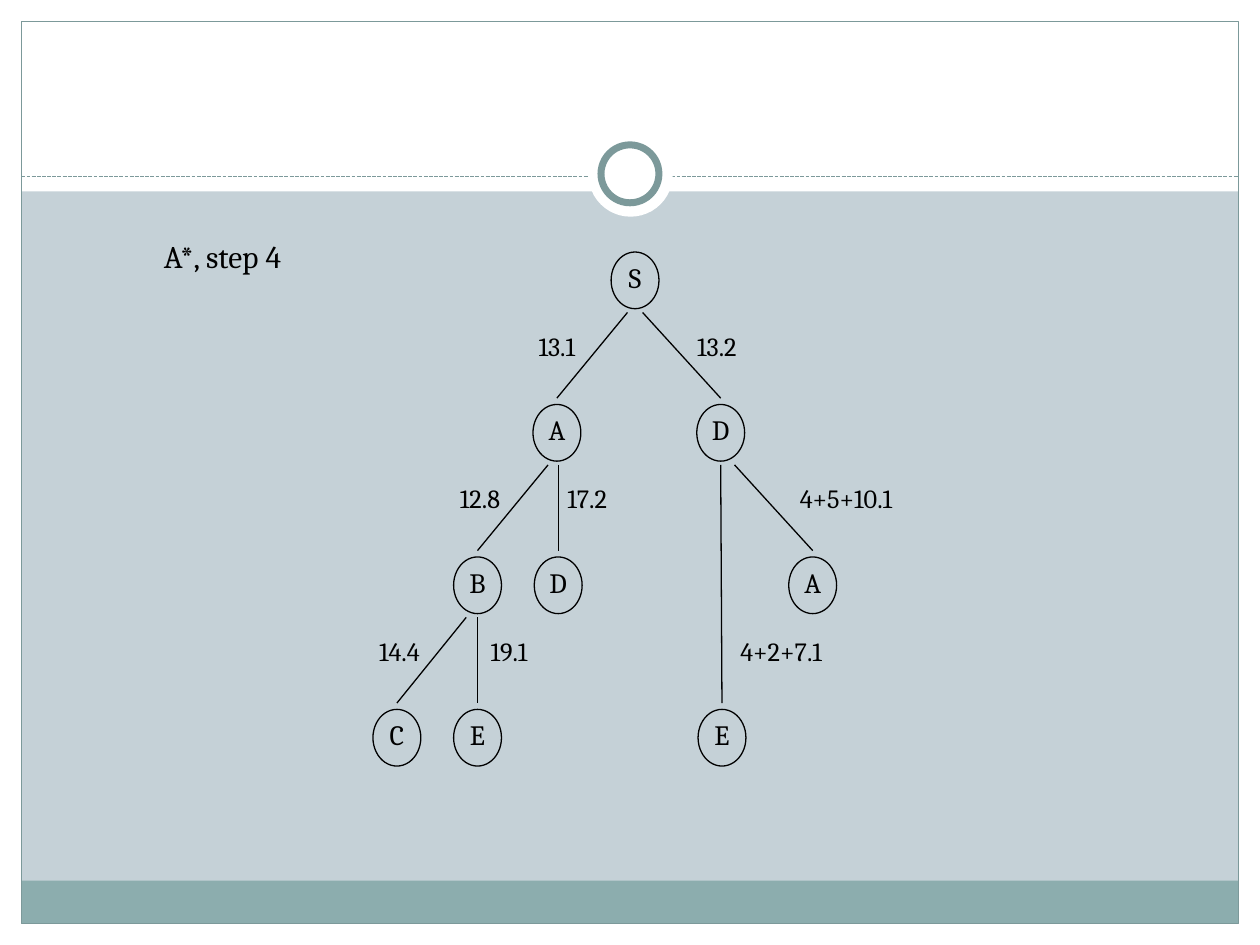
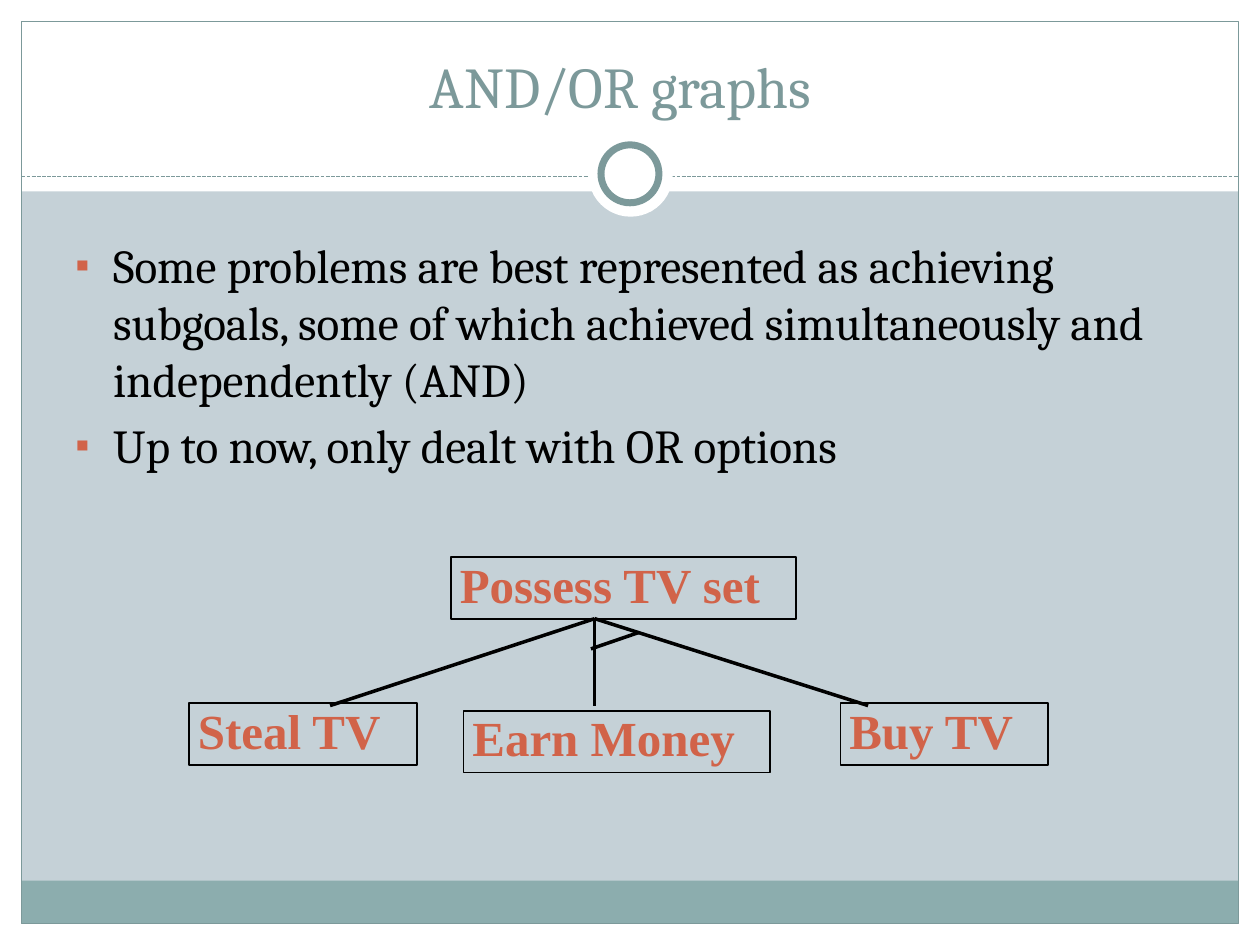
from typing import NamedTuple

from lxml import etree
from pptx import Presentation
from pptx import util as u
from pptx.dml.color import RGBColor
from pptx.enum import dml, shapes, text
from pptx.oxml.ns import qn

BLACK, WHITE = "000000", "FFFFFF"
TEAL, BAND, PALE, ORANGE = "7C999A", "8CADAE", "C5D1D7", "D16349"
SERIF, TIMES = "Cambria", "Times New Roman"
RECT, OVAL = shapes.MSO_SHAPE.RECTANGLE, shapes.MSO_SHAPE.OVAL
LEFT, CENTER = text.PP_ALIGN.LEFT, text.PP_ALIGN.CENTER
TOP, MIDDLE, BOTTOM = text.MSO_ANCHOR.TOP, text.MSO_ANCHOR.MIDDLE, text.MSO_ANCHOR.BOTTOM

NODE_WIDTH, NODE_HEIGHT = 0.38, 0.45
FIRST_LEVEL, LEVEL_PITCH = 2.0, 1.21


class Node(NamedTuple):
    name: str
    x: float
    level: int


class Edge(NamedTuple):
    parent: Node
    child: Node
    shift: float
    cost: str
    cost_x: float
    cost_width: float = 0.6


class Goal(NamedTuple):
    name: str
    x: float
    y: float
    width: float


class Panel(NamedTuple):
    kind: int
    x: float
    y: float
    width: float
    height: float
    fill: str | None = WHITE
    line: str | None = None
    weight: float = 0.75


FRAME = [
    Panel(RECT, 0, 7.33, 10, 0.17),
    Panel(RECT, 0, 0, 10, 1.52),
    Panel(RECT, 0, 0, 0.17, 7.5),
    Panel(RECT, 9.83, 0, 0.17, 7.5),
    Panel(RECT, 0.17, 6.99, 9.66, 0.34, BAND),
    Panel(RECT, 0.17, 0.17, 9.66, 7.16, None, TEAL),
]
RING = [
    Panel(OVAL, 4.67, 1.05, 0.67, 0.67),
    Panel(OVAL, 4.77, 1.15, 0.46, 0.46, WHITE, TEAL, 4),
]


def color(value: str) -> RGBColor:
    return RGBColor.from_string(value)


def write(frame, *lines, size=16, font=SERIF, ink=BLACK, bold=False, align=LEFT,
          anchor=TOP, insets=(0.1, 0.05, 0.1, 0.05), spacing=None, before=0,
          bullet=None):
    frame.word_wrap = True
    frame.vertical_anchor = anchor
    (frame.margin_left, frame.margin_top,
     frame.margin_right, frame.margin_bottom) = map(u.Inches, insets)
    for index, line in enumerate(lines):
        para = frame.add_paragraph() if index else frame.paragraphs[0]
        if bullet:
            add_bullet(para, bullet)
        para.alignment = align
        if spacing:
            para.line_spacing = spacing
        if index:
            para.space_before = u.Pt(before)
        span = para.add_run()
        span.text = line
        span.font.size, span.font.name, span.font.bold = u.Pt(size), font, bold
        span.font.color.rgb = color(ink)


def add_bullet(para, mark: str) -> None:
    props = para._p.get_or_add_pPr()
    props.set("marL", str(u.Inches(0.3)))
    props.set("indent", str(u.Inches(-0.3)))
    tint = etree.SubElement(props, qn("a:buClr"))
    etree.SubElement(tint, qn("a:srgbClr"), val=ORANGE)
    etree.SubElement(props, qn("a:buSzPct"), val="85000")
    etree.SubElement(props, qn("a:buFont"), typeface="Arial")
    etree.SubElement(props, qn("a:buChar"), char=mark)


def add_panel(page, panel: Panel):
    shape = page.shapes.add_shape(panel.kind, *map(u.Inches, panel[1:5]))
    shape.shadow.inherit = False
    if panel.fill:
        shape.fill.solid()
        shape.fill.fore_color.rgb = color(panel.fill)
    else:
        shape.fill.background()
    if panel.line:
        shape.line.color.rgb = color(panel.line)
        shape.line.width = u.Pt(panel.weight)
    else:
        shape.line.fill.background()
    return shape


def add_line(page, x1: float, y1: float, x2: float, y2: float,
             ink: str = BLACK, weight: float = 0.75):
    line = page.shapes.add_connector(
        shapes.MSO_CONNECTOR.STRAIGHT, *map(u.Inches, (x1, y1, x2, y2)))
    line.line.color.rgb = color(ink)
    line.line.width = u.Pt(weight)
    etree.SubElement(line.element.spPr, qn("a:effectLst"))
    return line


def add_text(page, x: float, y: float, width: float, height: float, *lines, **style):
    box = page.shapes.add_textbox(*map(u.Inches, (x, y, width, height)))
    write(box.text_frame, *lines, **style)


def dress_master(deck, page) -> None:
    master = deck.slide_master
    master.background.fill.solid()
    master.background.fill.fore_color.rgb = color(PALE)
    drawn = [add_panel(page, panel) for panel in FRAME]
    rule = add_line(page, 0.17, 1.4, 9.83, 1.4, TEAL)
    rule.line.dash_style = dml.MSO_LINE.SQUARE_DOT
    drawn += [rule] + [add_panel(page, panel) for panel in RING]
    for index, shape in enumerate(drawn):
        shape.element.xpath(".//p:cNvPr")[0].set("id", str(100 + index))
        master.shapes.element.insert(2 + index, shape.element)


def node_top(node: Node) -> float:
    return FIRST_LEVEL + node.level * LEVEL_PITCH


def add_node(page, node: Node) -> None:
    oval = add_panel(page, Panel(OVAL, node.x - NODE_WIDTH / 2, node_top(node),
                                 NODE_WIDTH, NODE_HEIGHT, None, BLACK))
    write(oval.text_frame, node.name, align=CENTER, anchor=MIDDLE,
          insets=(0, 0, 0, 0.05))


def add_edge(page, edge: Edge) -> None:
    bottom = node_top(edge.parent) + NODE_HEIGHT
    top = node_top(edge.child)
    add_line(page, edge.parent.x + edge.shift, bottom + 0.03, edge.child.x, top - 0.05)
    add_text(page, edge.cost_x, top - 0.64, edge.cost_width, 0.42, edge.cost,
             size=15, align=CENTER)


def build_search_tree(page) -> None:
    add_text(page, 1.21, 1.83, 1.27, 0.39, "A*, step 4", size=18,
             insets=(0.09, 0.05, 0.09, 0.05))
    start = Node("S", 5.04, 0)
    a, d = Node("A", 4.42, 1), Node("D", 5.72, 1)
    b, a_d, d_a = Node("B", 3.79, 2), Node("D", 4.43, 2), Node("A", 6.45, 2)
    c, b_e, d_e = Node("C", 3.15, 3), Node("E", 3.79, 3), Node("E", 5.73, 3)
    for node in (start, a, d, b, a_d, d_a, c, b_e, d_e):
        add_node(page, node)
    for edge in (
        Edge(start, a, -0.06, "13.1", 4.12),
        Edge(start, d, 0.06, "13.2", 5.39),
        Edge(a, b, -0.07, "12.8", 3.51),
        Edge(a, a_d, 0.01, "17.2", 4.36),
        Edge(d, d_a, 0.11, "4+5+10.1", 6.1, 1.23),
        Edge(b, c, -0.09, "14.4", 2.87),
        Edge(b, b_e, 0, "19.1", 3.74),
        Edge(d, d_e, 0, "4+2+7.1", 5.67, 1.06),
    ):
        add_edge(page, edge)


def build_and_or(page) -> None:
    title = page.shapes.title
    title.left, title.top, title.width, title.height = map(
        u.Inches, (0.27, 0.28, 9.31, 0.72))
    write(title.text_frame, "AND/OR graphs", size=33, ink=TEAL, align=CENTER,
          anchor=BOTTOM)
    add_text(page, 0.5, 1.83, 9, 2.2,
             "Some problems are best represented as achieving subgoals, "
             "some of which achieved simultaneously and independently (AND)",
             "Up to now, only dealt with OR options",
             size=27, before=5.4, bullet="▪")
    for goal in (
        Goal("Possess TV set", 3.58, 4.42, 2.74),
        Goal("Steal TV", 1.5, 5.58, 1.81),
        Goal("Earn Money", 3.68, 5.64, 2.43),
        Goal("Buy TV", 6.67, 5.58, 1.65),
    ):
        box = add_panel(page, Panel(RECT, goal.x, goal.y, goal.width, 0.49,
                                    None, BLACK, 1))
        write(box.text_frame, goal.name, size=28, font=TIMES, ink=ORANGE, bold=True,
              insets=(0.07, 0.03, 0.07, 0.03), spacing=0.9)
    for branch_x in (2.62, 4.72, 6.89):
        add_line(page, 4.72, 4.91, branch_x, 5.6, weight=2)
    add_line(page, 4.69, 5.15, 5.07, 5.02, weight=2)


def main() -> None:
    deck = Presentation()
    deck.slide_width, deck.slide_height = u.Inches(10), u.Inches(7.5)
    tree_page = deck.slides.add_slide(deck.slide_layouts[6])
    dress_master(deck, tree_page)
    build_search_tree(tree_page)
    build_and_or(deck.slides.add_slide(deck.slide_layouts[5]))
    deck.save("out.pptx")


if __name__ == "__main__":
    main()
